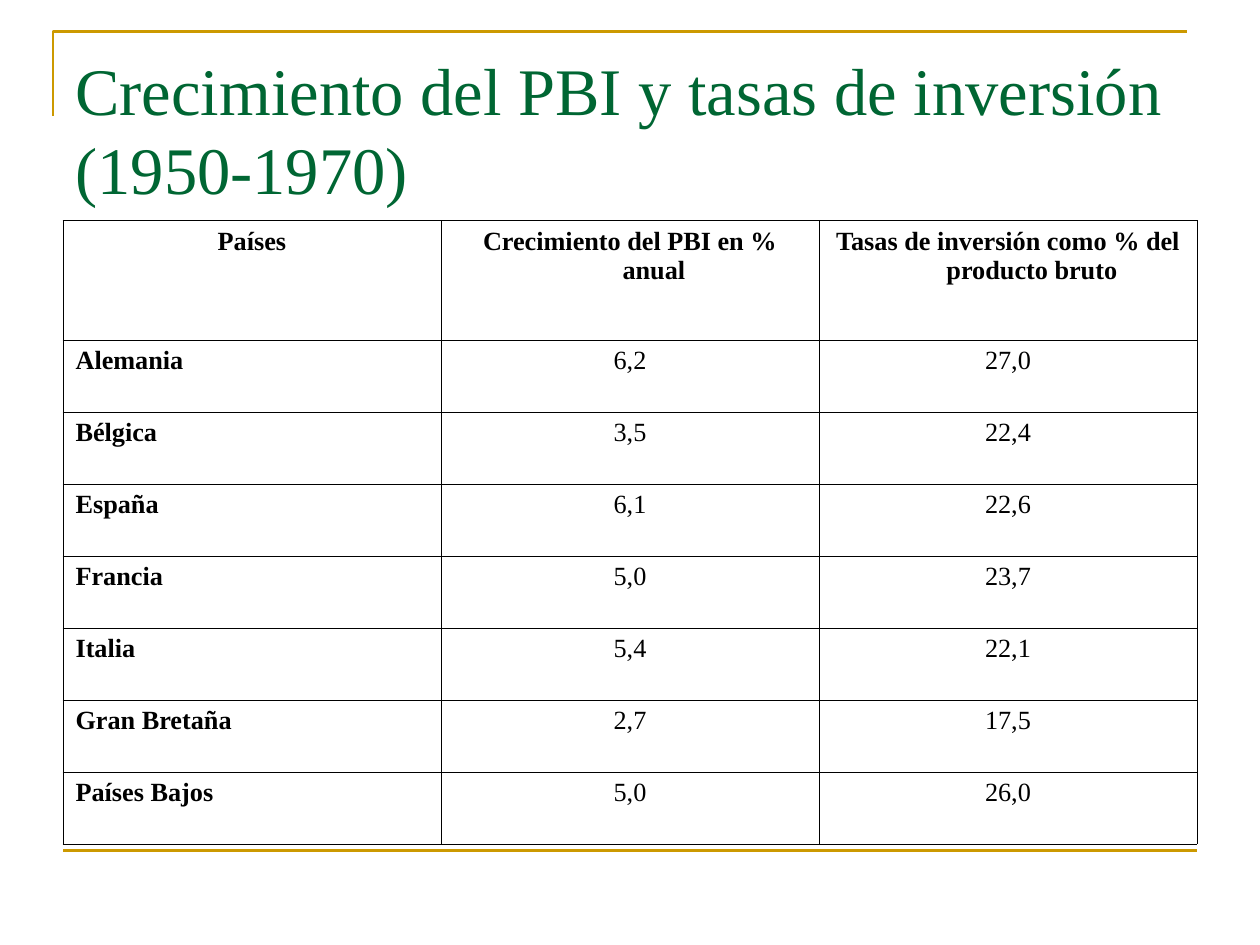
from dataclasses import dataclass

import pptx
import pptx.dml.color
import pptx.enum.text
import pptx.oxml
import pptx.oxml.ns
import pptx.util

Inches = pptx.util.Inches
Pt = pptx.util.Pt
ALIGN = pptx.enum.text.PP_ALIGN


@dataclass(frozen=True)
class Theme:
    """Colours, font and sizes of the slide."""
    font: str = "Times New Roman"
    title: str = "006633"
    ink: str = "000000"
    accent: str = "CC9900"
    title_size: float = 38
    table_size: float = 15
    rule_width: float = 1.5
    border_width: float = 0.45


THEME = Theme()
TITLE = "Crecimiento del PBI y tasas de inversión (1950-1970)"
ROWS = [
    ("Países", "Crecimiento del PBI en % anual", "Tasas de inversión como % del producto bruto"),
    ("Alemania", "6,2", "27,0"),
    ("Bélgica", "3,5", "22,4"),
    ("España", "6,1", "22,6"),
    ("Francia", "5,0", "23,7"),
    ("Italia", "5,4", "22,1"),
    ("Gran Bretaña", "2,7", "17,5"),
    ("Países Bajos", "5,0", "26,0"),
]


def rgb(value):
    """Return a colour from its hexadecimal text."""
    return pptx.dml.color.RGBColor.from_string(value)


def write(tf, text, *, size, color, bold=False, align=ALIGN.LEFT, hanging=0, spacing=None):
    """Write one formatted paragraph into a text frame."""
    tf.word_wrap = True
    p = tf.paragraphs[0]
    p.alignment = align
    if hanging:
        pPr = p._p.get_or_add_pPr()
        pPr.set("marL", str(Inches(hanging)))
        pPr.set("indent", str(-Inches(hanging)))
    if spacing:
        p.line_spacing = Pt(spacing)
    r = p.add_run()
    r.text = text
    r.font.name = THEME.font
    r.font.size = Pt(size)
    r.font.bold = bold
    r.font.color.rgb = rgb(color)


def style_rule(sp):
    """Give a line shape the accent stroke without a shadow."""
    sp.line.color.rgb = rgb(THEME.accent)
    sp.line.width = Pt(THEME.rule_width)
    spPr = sp._element.spPr
    if spPr.find(pptx.oxml.ns.qn("a:effectLst")) is None:
        spPr.append(pptx.oxml.parse_xml(f"<a:effectLst {pptx.oxml.ns.nsdecls('a')}/>"))


def add_corner(s, x, y, w, h):
    """Draw the open corner line over the title."""
    builder = s.shapes.build_freeform(Inches(x), Inches(y + h))
    builder.add_line_segments(
        [(Inches(x), Inches(y)), (Inches(x + w), Inches(y))], close=False)
    sp = builder.convert_to_shape()
    sp.fill.background()
    style_rule(sp)


def add_bottom_rule(s, x, y, w):
    """Draw the horizontal line under the table."""
    style_rule(s.shapes.add_connector(
        pptx.enum.shapes.MSO_CONNECTOR.STRAIGHT, Inches(x), Inches(y), Inches(x + w), Inches(y)))


def add_title(s, x, y, w, h):
    """Place the slide title."""
    tf = s.shapes.add_textbox(Inches(x), Inches(y), Inches(w), Inches(h)).text_frame
    tf.margin_top = Inches(0.1)
    write(tf, TITLE, size=THEME.title_size, color=THEME.title, spacing=45)


def set_borders(cell):
    """Draw a thin line on all four sides of a cell."""
    tcPr = cell._tc.get_or_add_tcPr()
    for i, side in enumerate(("lnL", "lnR", "lnT", "lnB")):
        tcPr.insert(i, pptx.oxml.parse_xml(
            f'<a:{side} {pptx.oxml.ns.nsdecls("a")} w="{Pt(THEME.border_width)}">'
            f'<a:solidFill><a:srgbClr val="{THEME.ink}"/></a:solidFill></a:{side}>'))


def add_growth_table(s, x, y, w, h, header_h=0.95):
    """Place the table of growth and investment rates."""
    n_rows, n_cols = len(ROWS), len(ROWS[0])
    table = s.shapes.add_table(
        n_rows, n_cols, Inches(x), Inches(y), Inches(w), Inches(h)).table
    table.first_row = table.horz_banding = False
    for col in table.columns:
        col.width = Inches(w / n_cols)
    for i, values in enumerate(ROWS):
        table.rows[i].height = Inches((h - header_h) / (n_rows - 1) if i else header_h)
        for j, value in enumerate(values):
            cell = table.cell(i, j)
            cell.fill.background()
            set_borders(cell)
            write(cell.text_frame, value, size=THEME.table_size, color=THEME.ink,
                  bold=i == 0 or j == 0, hanging=0.38,
                  align=ALIGN.LEFT if i and j == 0 else ALIGN.CENTER)


def main():
    """Build and save the slide."""
    prs = pptx.Presentation()
    prs.slide_width, prs.slide_height = Inches(10), Inches(7.5)
    s = prs.slides.add_slide(prs.slide_layouts[6])
    add_corner(s, 0.42, 0.25, 9, 0.67)
    add_bottom_rule(s, 0.5, 6.75, 9)
    add_title(s, 0.5, 0.3, 9, 1.25)
    add_growth_table(s, 0.5, 1.75, 9, 4.95)
    prs.save("out.pptx")


if __name__ == "__main__":
    main()
